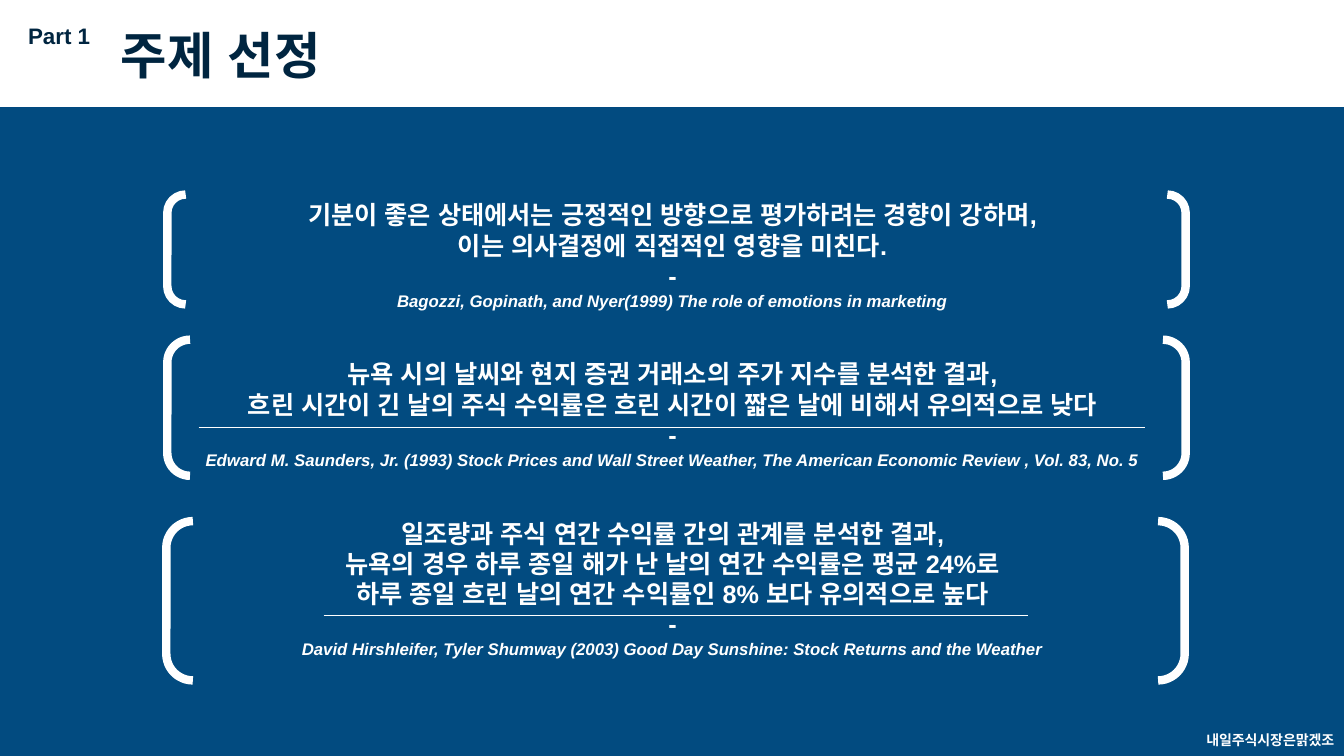
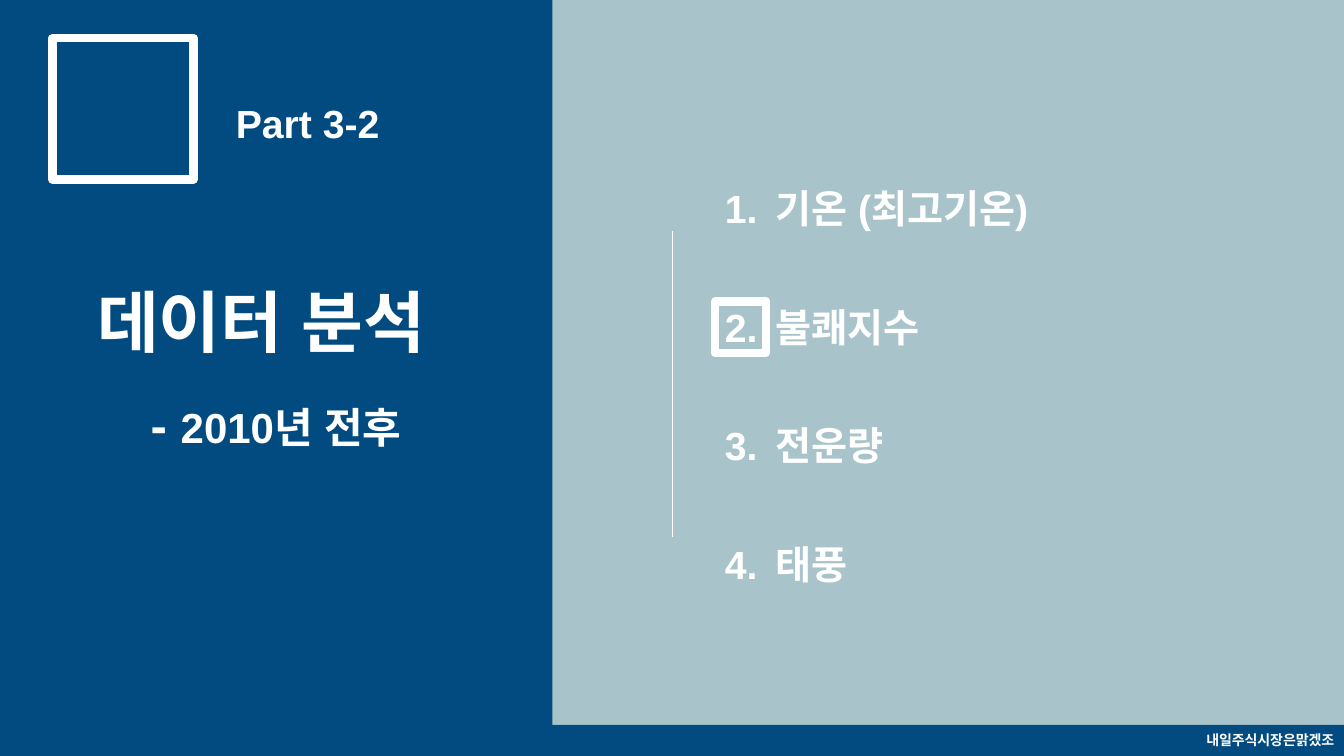
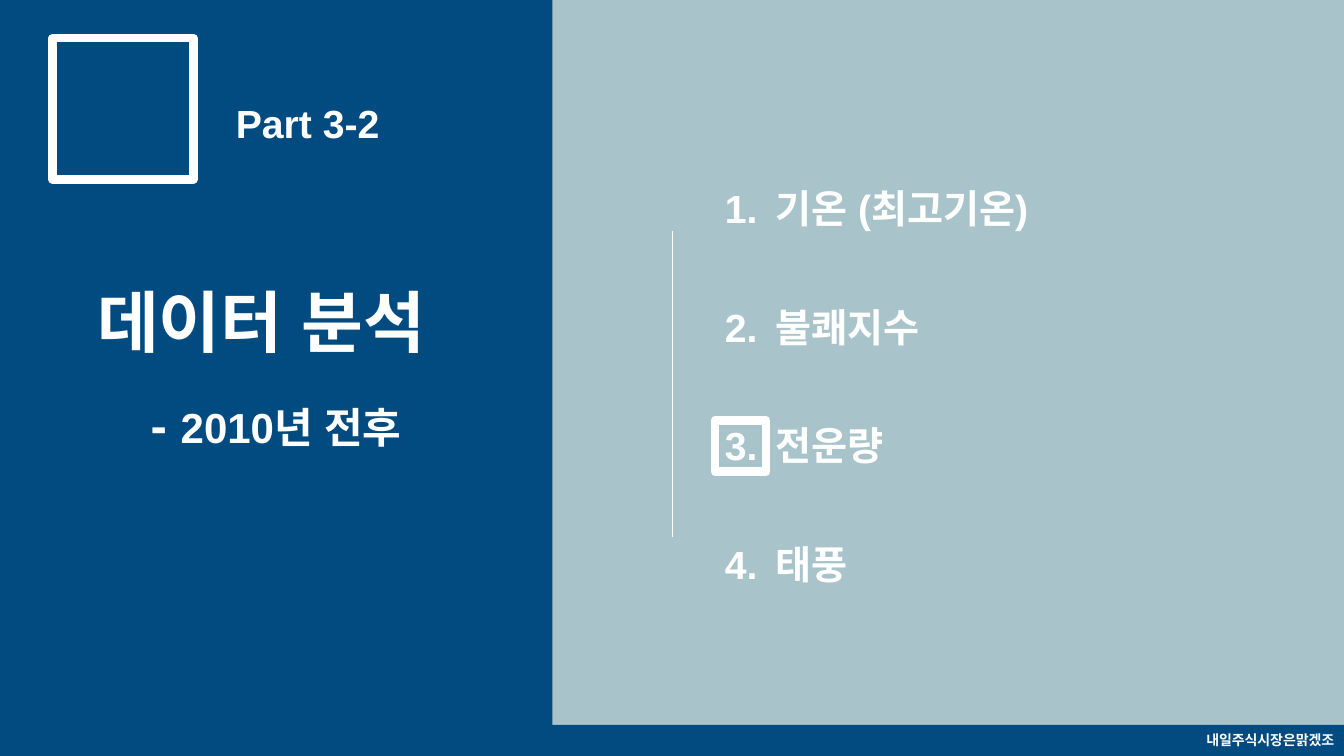
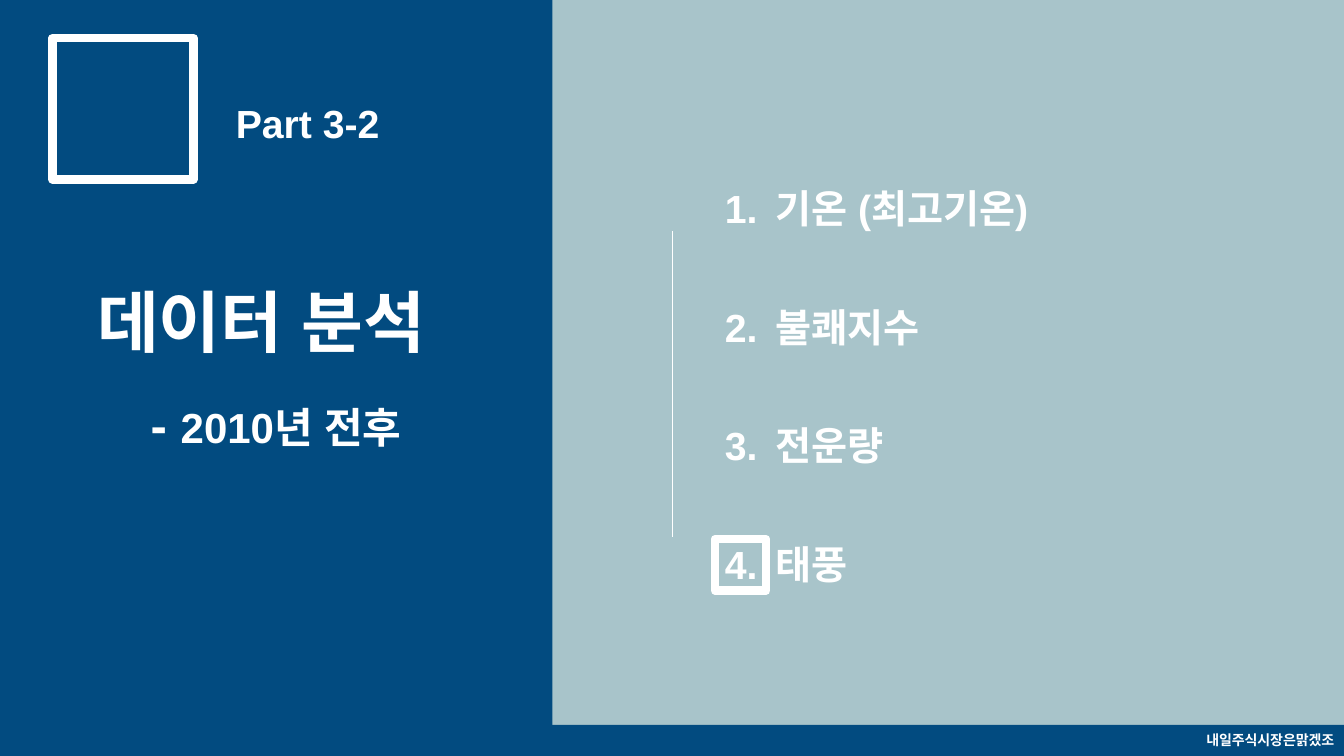
from pptx import Presentation
from pptx.dml.color import RGBColor
from pptx.enum.shapes import MSO_CONNECTOR, MSO_SHAPE
from pptx.enum.text import MSO_ANCHOR, MSO_AUTO_SIZE, PP_ALIGN
from pptx.oxml.ns import qn
from pptx.util import Inches, Pt
from lxml import etree

RECT, BRACKET = MSO_SHAPE.RECTANGLE, MSO_SHAPE.DOUBLE_BRACKET
LEFT, CENTER, RIGHT = PP_ALIGN.LEFT, PP_ALIGN.CENTER, PP_ALIGN.RIGHT
TOP, MIDDLE = MSO_ANCHOR.TOP, MSO_ANCHOR.MIDDLE
STRAIGHT, FIXED = MSO_CONNECTOR.STRAIGHT, MSO_AUTO_SIZE.NONE

COLORS = {"blue": "024B80", "edge": "004980", "navy": "002540",
          "mist": "A8C4CA", "white": "FFFFFF"}
FONT = "Arial"
WIDE, HIGH = 13.33, 7.5
TEAM = "내일주식시장은맑겠조"

QUOTES = [
    (["기분이 좋은 상태에서는 긍정적인 방향으로 평가하려는 경향이 강하며,",
      "이는 의사결정에 직접적인 영향을 미친다."],
     "Bagozzi, Gopinath, and Nyer(1999) The role of emotions in marketing"),
    (["뉴욕 시의 날씨와 현지 증권 거래소의 주가 지수를 분석한 결과,",
      "흐린 시간이 긴 날의 주식 수익률은 흐린 시간이 짧은 날에 비해서 유의적으로 낮다"],
     "Edward M. Saunders, Jr. (1993) Stock Prices and Wall Street Weather, "
     "The American Economic Review , Vol. 83, No. 5"),
    (["일조량과 주식 연간 수익률 간의 관계를 분석한 결과,",
      "뉴욕의 경우 하루 종일 해가 난 날의 연간 수익률은 평균 24%로",
      "하루 종일 흐린 날의 연간 수익률인 8% 보다 유의적으로 높다"],
     "David Hirshleifer, Tyler Shumway (2003) Good Day Sunshine: "
     "Stock Returns and the Weather"),
]
BRACKETS = [(1.66, 1.93, 1.09), (1.66, 3.37, 1.35), (1.65, 5.17, 1.58)]
RULES = [(1.97, 11.36, 4.24), (3.21, 10.2, 6.11)]
TOPICS = ["기온 (최고기온)", "불쾌지수", "전운량", "태풍"]
CHOSEN = [2, 3, 4]
STEP = 1.18
LINE = 34


def rgb(name):
    return RGBColor.from_string(COLORS[name])


def write(frame, paras, size=18, color="white", align=LEFT, anchor=TOP,
          gaps=None, line=None, tab=None):
    frame.word_wrap = True
    frame.auto_size = FIXED
    frame.vertical_anchor = anchor
    frame.margin_left = frame.margin_right = Inches(0.1)
    frame.margin_top = frame.margin_bottom = Inches(0.05)
    for i, runs in enumerate(paras):
        para = frame.paragraphs[0] if i == 0 else frame.add_paragraph()
        props = para._p.get_or_add_pPr()
        props.set("marL", "0")
        props.set("indent", "0")
        etree.SubElement(props, qn("a:buNone"))
        if tab:
            tabs = etree.SubElement(props, qn("a:tabLst"))
            etree.SubElement(tabs, qn("a:tab"), pos=str(Inches(tab)), algn="l")
        para.alignment = align
        para.space_before = Pt(gaps[i] if gaps else 0)
        if line:
            para.line_spacing = Pt(line)
        for words, extra in [(runs, {})] if isinstance(runs, str) else runs:
            run = para.add_run()
            run.text = words
            font = run.font
            font.name = FONT
            font.bold = True
            font.italic = extra.get("italic", False)
            font.size = Pt(extra.get("size", size))
            font.color.rgb = rgb(color)
            props = run._r.get_or_add_rPr()
            etree.SubElement(props, qn("a:ea"), typeface=FONT)


def place(item, x, y, w, h):
    item.left, item.top, item.width, item.height = map(Inches, (x, y, w, h))


def fill(slide, slot, box, paras, **style):
    item = slide.placeholders[slot]
    place(item, *box)
    slide.shapes.element.append(item.element)
    write(item.text_frame, paras, **style)


def label(slide, box, paras, **style):
    item = slide.shapes.add_textbox(*map(Inches, box))
    write(item.text_frame, paras, **style)


def band(slide, x, y, w, h, color):
    item = slide.shapes.add_shape(RECT, *map(Inches, (x, y, w, h)))
    item.shadow.inherit = False
    item.fill.solid()
    item.fill.fore_color.rgb = rgb(color)
    item.line.fill.background()
    return item


def frame(slide, kind, x, y, w, h):
    item = slide.shapes.add_shape(kind, *map(Inches, (x, y, w, h)))
    item.shadow.inherit = False
    item.fill.background()
    item.line.color.rgb = rgb("white")
    item.line.width = Pt(6)


def rule(slide, x1, y1, x2, y2, color="white"):
    item = slide.shapes.add_connector(STRAIGHT, *map(Inches, (x1, y1, x2, y2)))
    item.line.color.rgb = rgb(color)
    item.line.width = Pt(0.75)
    etree.SubElement(item._element.spPr, qn("a:effectLst"))


def footer(slide):
    item = band(slide, 0, 7.19, WIDE, 0.31, "blue")
    write(item.text_frame, [TEAM], size=10, align=RIGHT, anchor=MIDDLE)


def theme(deck):
    slide = deck.slides.add_slide(deck.slide_layouts[1])
    band(slide, 0, 1.07, WIDE, HIGH - 1.07, "blue")
    rule(slide, 0, 1.07, WIDE, 1.07, "edge")
    label(slide, (0.18, 0.17, 0.92, 0.37), ["Part 1"], size=16, color="navy")
    fill(slide, 0, (1.1, 0.19, 4.12, 0.71), ["주제 선정"], size=36, color="navy")
    footer(slide)
    paras, gaps = [], []
    for lines, source in QUOTES:
        gaps += [34.5 if paras else 0] + [0] * (len(lines) + 1)
        paras += lines + ["-", [(source, {"size": 12, "italic": True})]]
    fill(slide, 1, (1.86, 1.93, 9.62, 4.75), paras, align=CENTER, gaps=gaps)
    for x1, x2, y in RULES:
        rule(slide, x1, y, x2, y)
    for x, y, h in BRACKETS:
        frame(slide, BRACKET, x, y, 10.1, h)


def section(deck, chosen):
    slide = deck.slides.add_slide(deck.slide_layouts[1])
    band(slide, 0, 0, WIDE, HIGH, "mist")
    band(slide, 0, 0, 5.48, HIGH, "blue")
    frame(slide, RECT, 0.52, 0.38, 1.4, 1.4)
    label(slide, (2.24, 0.94, 1.8, 0.57), ["Part 3-2"], size=28)
    fill(slide, 0, (0.69, 2.73, 3.8, 0.91), ["데이터 분석"], size=48, align=CENTER)
    paras = [f"{i}.\t{topic}" for i, topic in enumerate(TOPICS, 1)]
    gaps = [0] + [STEP * 72 - LINE] * (len(TOPICS) - 1)
    fill(slide, 1, (7.09, 1.77, 5, 4.2), paras, size=28, gaps=gaps,
         line=LINE, tab=0.85)
    rule(slide, 6.67, 2.29, 6.67, 5.33)
    frame(slide, RECT, 7.09, 1.81 + STEP * (chosen - 1), 0.51, 0.51)
    footer(slide)
    label(slide, (1.06, 3.86, 3.36, 0.69),
          [[("- ", {"size": 35}), ("2010년 전후", {})]], size=30, align=CENTER)


def main():
    deck = Presentation()
    deck.slide_width, deck.slide_height = Inches(WIDE), Inches(HIGH)
    theme(deck)
    for chosen in CHOSEN:
        section(deck, chosen)
    deck.save("out.pptx")


if __name__ == "__main__":
    main()
